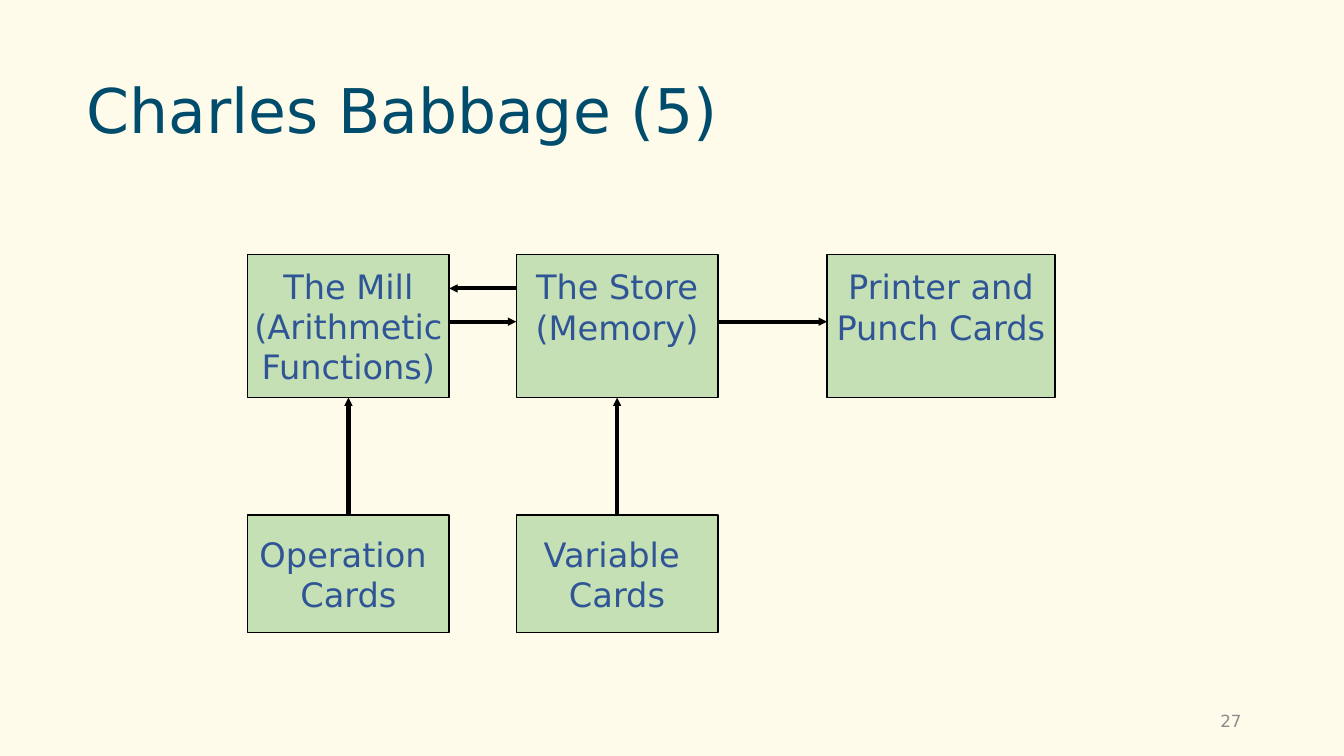
"""Build the slide "Charles Babbage (5)" with its boxes and arrows."""
from typing import NamedTuple, Optional

from lxml.etree import SubElement
from pptx import Presentation
from pptx.dml.color import RGBColor
from pptx.enum.shapes import MSO_CONNECTOR, MSO_SHAPE
from pptx.enum.text import MSO_ANCHOR, PP_ALIGN
from pptx.oxml.ns import qn
from pptx.util import Pt

CREAM = RGBColor(0xFF, 0xFB, 0xEB)
TEAL = RGBColor(0x00, 0x4C, 0x6C)
GREY = RGBColor(0x8C, 0x8C, 0x8C)
GREEN = RGBColor(0xC5, 0xE0, 0xB4)
BLUE = RGBColor(0x2F, 0x55, 0x97)
BLACK = RGBColor(0x00, 0x00, 0x00)
FONT = "DejaVu Sans"

MILL_LEFT, STORE_LEFT, PRINTER_LEFT = 176.9, 368.8, 590.8
UPPER_TOP, CARDS_TOP = 182, 368
UPPER_HEIGHT, CARDS_HEIGHT = 102, 84
BOX_WIDTH, PRINTER_WIDTH = 144, 162.7
UPPER_ARROW_Y, LOWER_ARROW_Y = 206, 229.8
LINE_HEIGHT = 28
TOP_SIDE, BOTTOM_SIDE = 0, 2


class Box(NamedTuple):
    """A labelled rectangle."""
    label: str
    left: float
    top: float
    width: float
    height: float
    bottom_inset: float = 3.6


class Arrow(NamedTuple):
    """An arrow, joined to two boxes when their labels are given."""
    start: tuple[float, float]
    end: tuple[float, float]
    source: Optional[str] = None
    target: Optional[str] = None


MILL = Box("The Mill\n(Arithmetic\nFunctions)", MILL_LEFT, UPPER_TOP, BOX_WIDTH, UPPER_HEIGHT)
STORE = Box("The Store\n(Memory)", STORE_LEFT, UPPER_TOP, BOX_WIDTH, UPPER_HEIGHT,
            3.6 + LINE_HEIGHT)
PRINTER = Box("Printer and\nPunch Cards", PRINTER_LEFT, UPPER_TOP, PRINTER_WIDTH, UPPER_HEIGHT,
              3.6 + LINE_HEIGHT)
OPERATION = Box("Operation \nCards", MILL_LEFT, CARDS_TOP, BOX_WIDTH, CARDS_HEIGHT)
VARIABLE = Box("Variable \nCards", STORE_LEFT, CARDS_TOP, BOX_WIDTH, CARDS_HEIGHT)
BOXES = [MILL, STORE, PRINTER, OPERATION, VARIABLE]


def upward_arrow(lower: Box, upper: Box) -> Arrow:
    """Describe the arrow from a lower box to the one above it."""
    center = lower.left + lower.width / 2
    return Arrow((center, lower.top), (center, upper.top + upper.height),
                 lower.label, upper.label)


ARROWS = [
    upward_arrow(OPERATION, MILL),
    upward_arrow(VARIABLE, STORE),
    Arrow((MILL_LEFT + BOX_WIDTH, LOWER_ARROW_Y), (STORE_LEFT, LOWER_ARROW_Y)),
    Arrow((STORE_LEFT + BOX_WIDTH, LOWER_ARROW_Y), (PRINTER_LEFT, LOWER_ARROW_Y)),
    Arrow((STORE_LEFT, UPPER_ARROW_Y), (MILL_LEFT + BOX_WIDTH, UPPER_ARROW_Y)),
]


def write_text(shape, text: str, size: float, color: RGBColor, align: PP_ALIGN) -> None:
    """Put formatted, vertically centred text into a shape."""
    frame = shape.text_frame
    frame.text = text
    frame.vertical_anchor = MSO_ANCHOR.MIDDLE
    for para in frame.paragraphs:
        para.alignment = align
        for span in para.runs:
            span.font.name = FONT
            span.font.size = Pt(size)
            span.font.color.rgb = color


def add_label(page, text: str, area: tuple[float, float, float, float], size: float,
              color: RGBColor, align: PP_ALIGN):
    """Add a wrapping text box and return it."""
    label = page.shapes.add_textbox(*map(Pt, area))
    label.text_frame.word_wrap = True
    write_text(label, text, size, color, align)
    return label


def add_box(page, box: Box):
    """Draw one labelled rectangle and return its shape."""
    shape = page.shapes.add_shape(MSO_SHAPE.RECTANGLE, Pt(box.left), Pt(box.top),
                                  Pt(box.width), Pt(box.height))
    shape.shadow.inherit = False
    shape.fill.solid()
    shape.fill.fore_color.rgb = GREEN
    shape.line.color.rgb = BLACK
    shape.line.width = Pt(1)
    write_text(shape, box.label, 24, BLUE, PP_ALIGN.CENTER)
    shape.text_frame.word_wrap = False
    shape.text_frame.margin_bottom = Pt(box.bottom_inset)
    return shape


def add_arrow(page, arrow: Arrow, shapes: dict) -> None:
    """Draw one arrow and join it to its boxes."""
    line = page.shapes.add_connector(MSO_CONNECTOR.STRAIGHT,
                                     *map(Pt, arrow.start + arrow.end))
    if arrow.source and arrow.target:
        line.begin_connect(shapes[arrow.source], TOP_SIDE)
        line.end_connect(shapes[arrow.target], BOTTOM_SIDE)
    line.line.color.rgb = BLACK
    line.line.width = Pt(3)
    SubElement(line.line._get_or_add_ln(), qn("a:tailEnd"), type="triangle", w="sm", len="sm")
    SubElement(line._element.spPr, qn("a:effectLst"))


def main() -> None:
    """Build and save the deck."""
    deck = Presentation()
    deck.slide_width, deck.slide_height = Pt(960), Pt(540)
    page = deck.slides.add_slide(deck.slide_layouts[6])
    page.background.fill.solid()
    page.background.fill.fore_color.rgb = CREAM
    title = add_label(page, "Charles Babbage (5)", (54.8, 28.8, 850, 104.4), 44, TEAL,
                      PP_ALIGN.LEFT)
    title.text_frame.paragraphs[0].line_spacing = 0.9
    add_label(page, "27", (678, 500.5, 216, 28.8), 12, GREY, PP_ALIGN.RIGHT)
    shapes = {box.label: add_box(page, box) for box in BOXES}
    for arrow in ARROWS:
        add_arrow(page, arrow, shapes)
    deck.save("out.pptx")


if __name__ == "__main__":
    main()
